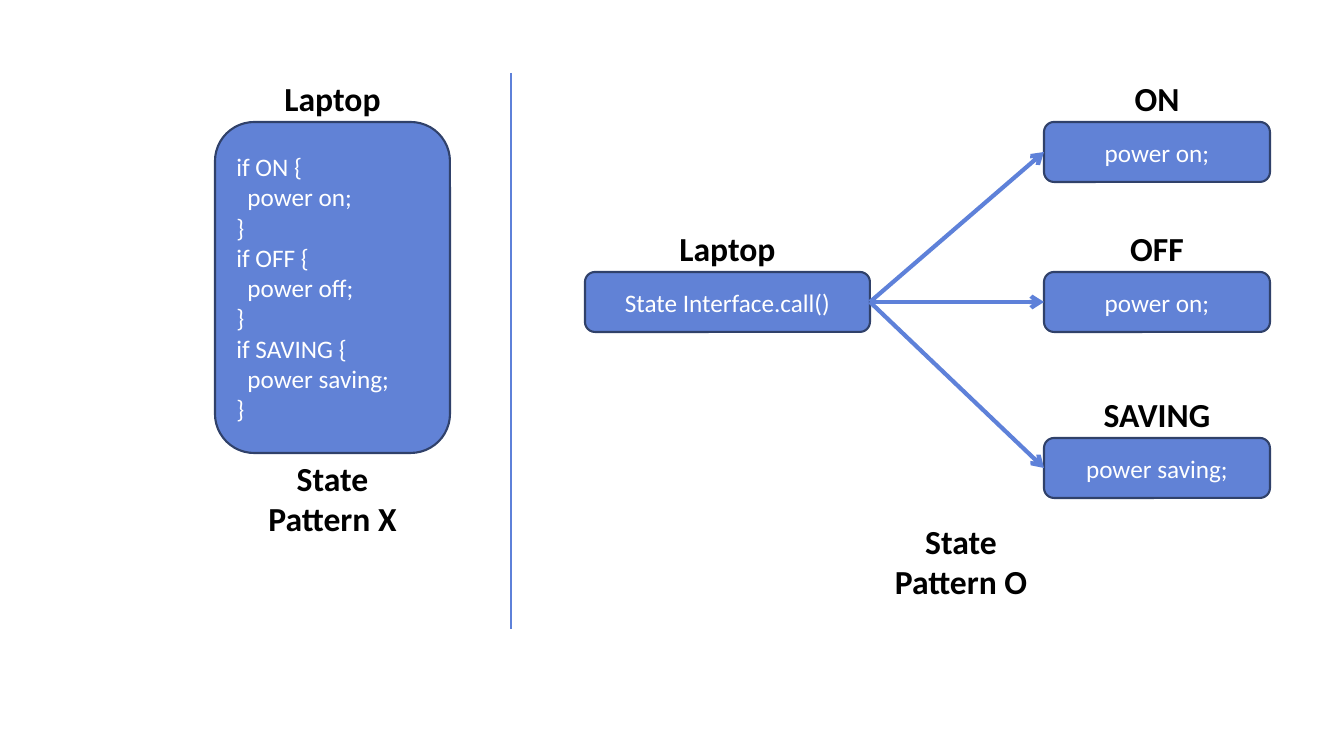
from dataclasses import dataclass

from lxml.etree import SubElement
from pptx import Presentation
from pptx.dml.color import RGBColor
from pptx.enum.shapes import MSO_CONNECTOR, MSO_SHAPE
from pptx.enum.text import MSO_ANCHOR, MSO_AUTO_SIZE, PP_ALIGN
from pptx.oxml.ns import qn
from pptx.util import Pt


@dataclass(frozen=True)
class Theme:
    """Colours, font and type sizes of the slide."""
    fill: RGBColor = RGBColor.from_string("6182D6")
    edge: RGBColor = RGBColor.from_string("30416A")
    link: RGBColor = RGBColor.from_string("5E81D9")
    light: RGBColor = RGBColor.from_string("FFFFFF")
    dark: RGBColor = RGBColor.from_string("000000")
    font: str = "Calibri"
    code: int = 18
    caption: int = 24


T = Theme()
CAPTION_W, CAPTION_H, VERDICT_H = 165, 49, 91
BOX_H, CODE_INDENT = 60, 11
LEFT_ARM, RIGHT_ARM = 1, 3
CODE = ["if ON {", "  power on;", "}",
        "if OFF {", "  power off;", "}",
        "if SAVING {", "  power saving;", "}"]
STATES = [("ON", "power on;", 0), ("OFF", "power on;", 150), ("SAVING", "power saving;", 316)]


def px(n):
    """Convert pixels to EMU."""
    return round(n * 914400 / 100.8)


def write(tf, lines, size, color, align, bold=False):
    """Write one paragraph per line, turning leading blanks into an indent."""
    tf.word_wrap = True
    for i, line in enumerate(lines):
        p = tf.paragraphs[0] if i == 0 else tf.add_paragraph()
        p.text = line.lstrip()
        p.alignment = align
        p.font.name, p.font.size, p.font.bold = T.font, Pt(size), bold
        p.font.color.rgb = color
        if line.startswith(" "):
            p._p.get_or_add_pPr().set("marL", str(px(CODE_INDENT)))


def add_caption(s, text, x, y, h=CAPTION_H):
    """Add a bold caption centred on x with its top at y."""
    tb = s.shapes.add_textbox(px(x - CAPTION_W / 2), px(y), px(CAPTION_W), px(h))
    write(tb.text_frame, [text], T.caption, T.dark, PP_ALIGN.CENTER, True)
    tb.text_frame.auto_size = MSO_AUTO_SIZE.SHAPE_TO_FIT_TEXT


def add_box(s, title, lines, x, y, w, h=BOX_H, align=PP_ALIGN.CENTER):
    """Add a rounded box with code in it and a caption on top; return the box."""
    sp = s.shapes.add_shape(MSO_SHAPE.ROUNDED_RECTANGLE, px(x), px(y), px(w), px(h))
    sp.shadow.inherit = False
    sp.fill.solid()
    sp.fill.fore_color.rgb = T.fill
    sp.line.color.rgb = T.edge
    sp.line.width = Pt(1.5)
    sp.text_frame.vertical_anchor = MSO_ANCHOR.MIDDLE
    write(sp.text_frame, lines, T.code, T.light, align)
    add_caption(s, title, x + w / 2, y - CAPTION_H)
    return sp


def add_line(s, x1, y1, x2, y2, width):
    """Add a straight line and return it."""
    c = s.shapes.add_connector(MSO_CONNECTOR.STRAIGHT, px(x1), px(y1), px(x2), px(y2))
    c.line.color.rgb = T.link
    c.line.width = Pt(width)
    SubElement(c._element.spPr, qn("a:effectLst"))
    return c


def add_arrow(s, start, end):
    """Join the right side of one box to the left side of another."""
    c = add_line(s, 0, 0, 0, 0, 3)
    c.begin_connect(start, RIGHT_ARM)
    c.end_connect(end, LEFT_ARM)
    SubElement(c.line._get_or_add_ln(), qn("a:tailEnd"), type="arrow")


def conditional_region(s, x, y, w, h):
    """Draw the laptop that branches on its own state."""
    body_h = h - CAPTION_H - VERDICT_H
    add_box(s, "Laptop", CODE, x, y + CAPTION_H, w, body_h, PP_ALIGN.LEFT)
    add_caption(s, "State Pattern X", x + w / 2, y + h - VERDICT_H, VERDICT_H)


def pattern_region(s, x, y, w, h):
    """Draw the laptop that calls one of three state objects."""
    call_w, state_w = 285, 226
    top = y + CAPTION_H
    call = add_box(s, "Laptop", ["State Interface.call()"], x, top + STATES[1][2], call_w)
    add_caption(s, "State Pattern O", x + 376, y + h - VERDICT_H, VERDICT_H)
    states = [add_box(s, name, [action], x + w - state_w, top + dy, state_w)
              for name, action, dy in STATES]
    for state in states:
        add_arrow(s, call, state)


def main():
    """Build and save the slide."""
    prs = Presentation()
    prs.slide_width, prs.slide_height = px(1344), px(756)
    s = prs.slides.add_slide(prs.slide_layouts[6])
    conditional_region(s, 215, 73, 235, 471)
    pattern_region(s, 585, 73, 685, 534)
    add_line(s, 511, 73, 511, 629, 1)
    prs.save("out.pptx")


main()
